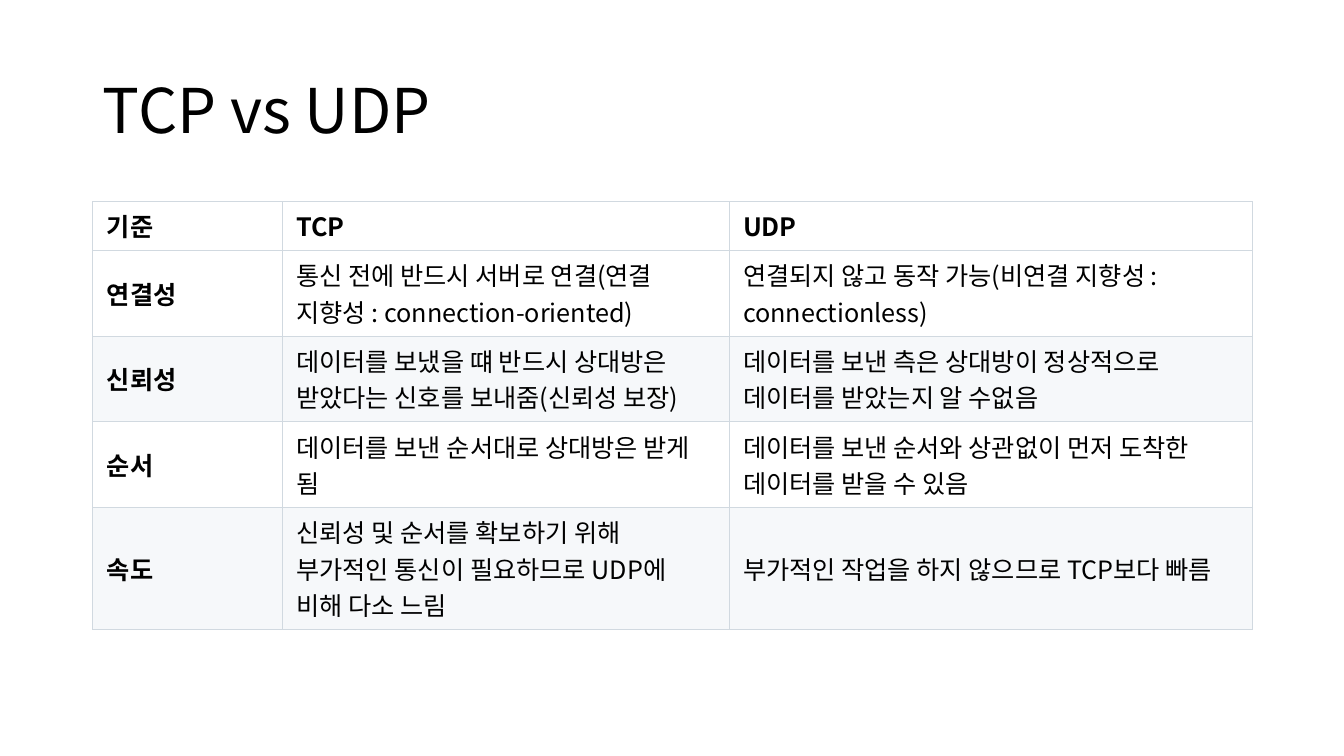
from lxml.etree import SubElement
from pptx import Presentation
from pptx.dml.color import RGBColor
from pptx.enum.text import MSO_ANCHOR, PP_ALIGN
from pptx.oxml.ns import qn
from pptx.util import Inches, Pt

FONT = "Noto Sans CJK KR"
COLUMN_WIDTHS = [1.88, 4.43, 5.19]
ROW_HEIGHTS = [0.48, 0.85, 0.85, 0.85, 1.21]
ROWS = [
    ["기준", "TCP", "UDP"],
    ["연결성",
     "통신 전에 반드시 서버로 연결(연결 지향성 : connection-oriented)",
     "연결되지 않고 동작 가능(비연결 지향성 : connectionless)"],
    ["신뢰성",
     "데이터를 보냈을 떄 반드시 상대방은 받았다는 신호를 보내줌(신뢰성 보장)",
     "데이터를 보낸 측은 상대방이 정상적으로 데이터를 받았는지 알 수없음"],
    ["순서",
     "데이터를 보낸 순서대로 상대방은 받게 됨",
     "데이터를 보낸 순서와 상관없이 먼저 도착한 데이터를 받을 수 있음"],
    ["속도",
     "신뢰성 및 순서를 확보하기 위해 부가적인 통신이 필요하므로 UDP에 비해 다소 느림",
     "부가적인 작업을 하지 않으므로 TCP보다 빠름"],
]


def rgb(value):
    return RGBColor.from_string(value)


def add_run(p, text, size, bold=False):
    r = p.add_run()
    r.text = text
    r.font.size = Pt(size)
    r.font.bold = bold
    r.font.name = FONT
    r.font.color.rgb = rgb("000000")
    SubElement(r.font._element, qn("a:ea"), typeface=FONT)


def add_title(s, text):
    sp = s.shapes.title
    sp.left, sp.top = Inches(0.92), Inches(0.4)
    sp.width, sp.height = Inches(11.5), Inches(1.45)
    sp.text_frame.vertical_anchor = MSO_ANCHOR.MIDDLE
    p = sp.text_frame.paragraphs[0]
    p.alignment = PP_ALIGN.LEFT
    p.line_spacing = 0.9
    add_run(p, text, 44)


def set_borders(cell, color, width):
    tc_pr = cell._tc.get_or_add_tcPr()
    for side in ("lnL", "lnR", "lnT", "lnB"):
        ln = SubElement(tc_pr, qn(f"a:{side}"), w=str(Pt(width)))
        fill = SubElement(ln, qn("a:solidFill"))
        SubElement(fill, qn("a:srgbClr"), val=color)


def fill_cell(cell, text, bold, color):
    set_borders(cell, "D1D9E0", 0.6)
    cell.fill.solid()
    cell.fill.fore_color.rgb = rgb(color)
    cell.vertical_anchor = MSO_ANCHOR.MIDDLE
    cell.margin_left = cell.margin_right = Inches(0.14)
    cell.margin_top = cell.margin_bottom = Inches(0.06)
    add_run(cell.text_frame.paragraphs[0], text, 18, bold)


def add_comparison(s):
    table = s.shapes.add_table(
        len(ROWS), len(COLUMN_WIDTHS), Inches(0.92), Inches(2),
        Inches(sum(COLUMN_WIDTHS)), Inches(sum(ROW_HEIGHTS))).table
    for column, width in zip(table.columns, COLUMN_WIDTHS):
        column.width = Inches(width)
    for i, (row, height) in enumerate(zip(table.rows, ROW_HEIGHTS)):
        row.height = Inches(height)
        color = "F6F8FA" if i and i % 2 == 0 else "FFFFFF"
        for j, text in enumerate(ROWS[i]):
            fill_cell(table.cell(i, j), text, i == 0 or j == 0, color)


def main():
    prs = Presentation()
    prs.slide_width, prs.slide_height = Inches(13.33), Inches(7.5)
    s = prs.slides.add_slide(prs.slide_layouts[5])
    add_title(s, "TCP vs UDP")
    add_comparison(s)
    prs.save("out.pptx")


if __name__ == "__main__":
    main()
